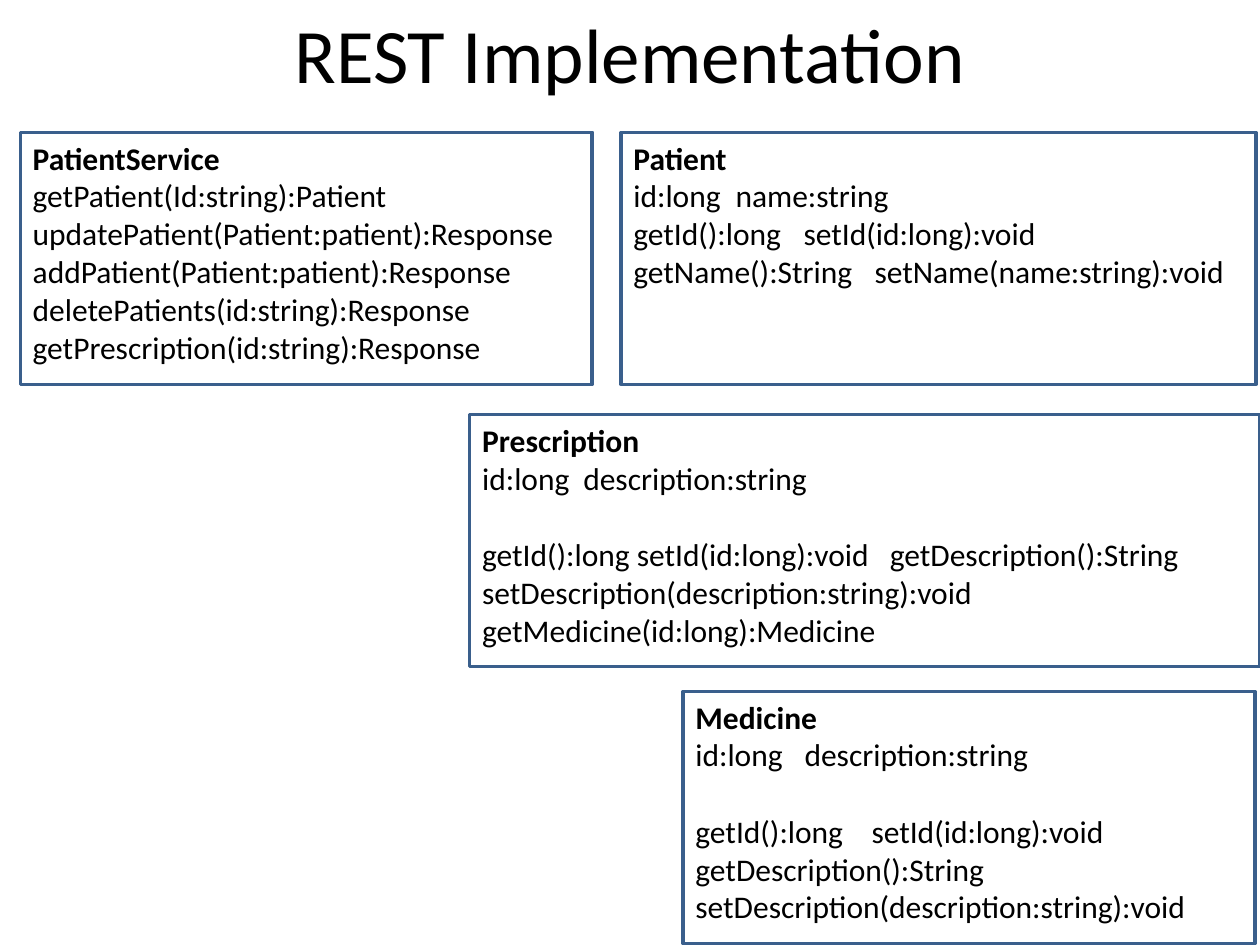
from lxml import etree
from pptx import Presentation
from pptx import util as u
from pptx.dml import color
from pptx.enum import shapes, text
from pptx.oxml import ns

FONT = "Calibri"
BLACK = "000000"
BORDER = "3A5F8C"
BOX_HEIGHT = 5.08
LINE_HEIGHT = 22  # points, one line of 18 pt text

# Box (left, top, width in cm), name, fields, methods, gap between them.
# Each member is its text and, where it has a tab, the tab stop in cm.
CLASSES = [
    ((0.41, 2.67, 11.53), "PatientService", [], [
        ("getPatient(Id:string):Patient", None),
        ("updatePatient(Patient:patient):Response", None),
        ("addPatient(Patient:patient):Response", None),
        ("deletePatients(id:string):Response", None),
        ("getPrescription(id:string):Response", None),
    ], False),
    ((12.52, 2.67, 12.8), "Patient", [("id:long\tname:string", 2.06)], [
        ("getId():long\tsetId(id:long):void", 3.43),
        ("getName():String\tsetName(name:string):void", 4.86),
    ], False),
    ((9.47, 8.36, 15.93), "Prescription", [("id:long\tdescription:string", 2.04)], [
        ("getId():long setId(id:long):void\tgetDescription():String", 8.22),
        ("setDescription(description:string):void", None),
        ("getMedicine(id:long):Medicine", None),
    ], True),
    ((13.77, 13.94, 11.53), "Medicine", [("id:long\tdescription:string", 2.2)], [
        ("getId():long\tsetId(id:long):void", 3.55),
        ("getDescription():String", None),
        ("setDescription(description:string):void", None),
    ], True),
]


def rgb(value):
    return color.RGBColor.from_string(value)


def format_paragraph(paragraph, size, alignment, bold=False):
    paragraph.alignment = alignment
    for run in paragraph.runs:
        run.font.name = FONT
        run.font.size = u.Pt(size)
        run.font.bold = bold
        run.font.color.rgb = rgb(BLACK)


def add_tab_stop(paragraph, position):
    properties = paragraph._p.get_or_add_pPr()
    tabs = etree.SubElement(properties, ns.qn("a:tabLst"))
    etree.SubElement(tabs, ns.qn("a:tab"), pos=str(u.Cm(position)), algn="l")


def add_title(slide, left, top, width, height):
    title = slide.shapes.add_textbox(u.Cm(left), u.Cm(top), u.Cm(width), u.Cm(height))
    frame = title.text_frame
    frame.word_wrap = True
    frame.vertical_anchor = text.MSO_ANCHOR.MIDDLE
    frame.text = "REST Implementation"
    format_paragraph(frame.paragraphs[0], 44, text.PP_ALIGN.CENTER)


def add_class_box(slide, box, name, fields, methods, gap):
    left, top, width = box
    shape = slide.shapes.add_shape(
        shapes.MSO_SHAPE.RECTANGLE,
        u.Cm(left), u.Cm(top), u.Cm(width), u.Cm(BOX_HEIGHT))
    shape.shadow.inherit = False
    shape.fill.background()
    shape.line.color.rgb = rgb(BORDER)
    shape.line.width = u.Pt(2)

    # Class name
    frame = shape.text_frame
    frame.word_wrap = True
    frame.vertical_anchor = text.MSO_ANCHOR.TOP
    frame.text = name
    format_paragraph(frame.paragraphs[0], 18, text.PP_ALIGN.LEFT, bold=True)

    # Fields, then methods
    for index, (member, tab) in enumerate(fields + methods):
        paragraph = frame.add_paragraph()
        paragraph.text = member
        format_paragraph(paragraph, 18, text.PP_ALIGN.LEFT)
        if gap and index == len(fields):
            paragraph.space_before = u.Pt(LINE_HEIGHT)
        if tab:
            add_tab_stop(paragraph, tab)


def main():
    presentation = Presentation()
    presentation.slide_width = u.Cm(25.4)
    presentation.slide_height = u.Cm(19.05)
    slide = presentation.slides.add_slide(presentation.slide_layouts[6])
    add_title(slide, 0, 0, 25.4, 2.11)
    for class_parts in CLASSES:
        add_class_box(slide, *class_parts)
    presentation.save("out.pptx")


if __name__ == "__main__":
    main()
